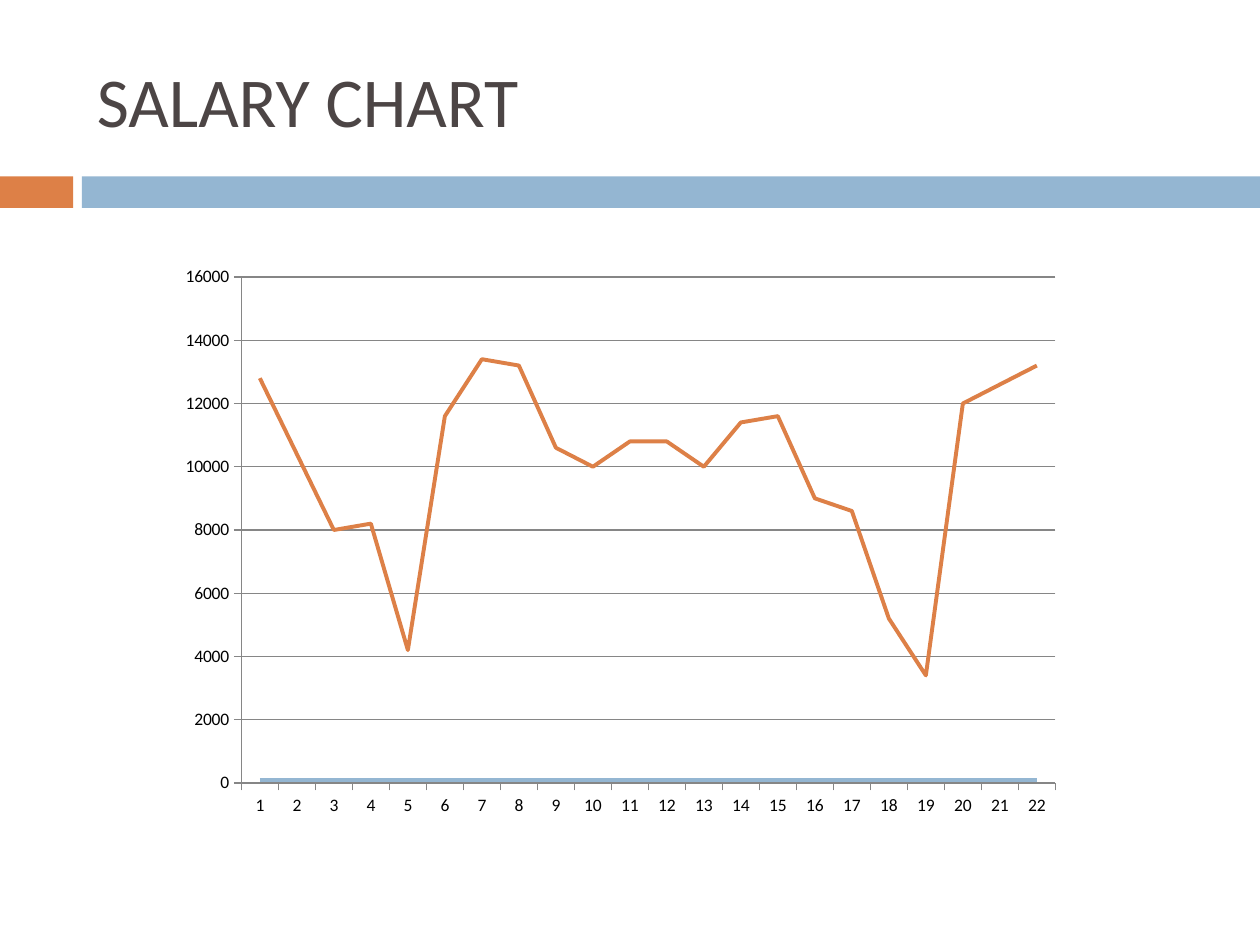
from pptx import Presentation
from pptx.chart.data import CategoryChartData
from pptx.dml.color import RGBColor
from pptx.enum.chart import XL_CHART_TYPE, XL_TICK_MARK
from pptx.enum.shapes import MSO_SHAPE
from pptx.enum.text import MSO_ANCHOR
from pptx.util import Inches, Pt

LINE_CHART = XL_CHART_TYPE.LINE
TICK_OUTSIDE = XL_TICK_MARK.OUTSIDE
RECTANGLE = MSO_SHAPE.RECTANGLE
MIDDLE = MSO_ANCHOR.MIDDLE

ORANGE = RGBColor(0xDD, 0x80, 0x47)
BLUE = RGBColor(0x94, 0xB6, 0xD2)
TITLE_GREY = RGBColor(0x4C, 0x45, 0x45)
AXIS_GREY = RGBColor(0x86, 0x86, 0x86)
BLACK = RGBColor(0, 0, 0)
FONT = "Calibri"

# Content
TITLE = "SALARY CHART"
SALARIES = [12800, 10400, 8000, 8200, 4200, 11600, 13400, 13200, 10600, 10000, 10800,
            10800, 10000, 11400, 11600, 9000, 8600, 5200, 3400, 12000, 12600, 13200]
COUNT = len(SALARIES)
SERIES = [
    ("Series 1", [100] * COUNT, BLUE),
    ("Series 2", SALARIES, ORANGE),
]

# Slide measures in inches
WIDTH, HEIGHT = 10, 7.5
BAND_TOP, BAND_HEIGHT = 1.4, 0.25
BAND_SPLIT, BAND_GAP = 0.58, 0.07
BLUE_LEFT = BAND_SPLIT + BAND_GAP
BANDS = [(0, BAND_SPLIT, ORANGE), (BLUE_LEFT, WIDTH - BLUE_LEFT, BLUE)]
TITLE_BOX = (0.67, 0.25, 8.92, 1.08)
CHART_BOX = (1.33, 2.03, 7.19, 4.53)

deck = Presentation()
deck.slide_width, deck.slide_height = Inches(WIDTH), Inches(HEIGHT)
page = deck.slides.add_slide(deck.slide_layouts[6])

# Two-colour band
for left, width, color in BANDS:
    band = page.shapes.add_shape(RECTANGLE, Inches(left), Inches(BAND_TOP),
                                 Inches(width), Inches(BAND_HEIGHT))
    band.shadow.inherit = False
    band.fill.solid()
    band.fill.fore_color.rgb = color
    band.line.fill.background()

# Title
box = page.shapes.add_textbox(*map(Inches, TITLE_BOX))
box.text_frame.word_wrap = True
box.text_frame.vertical_anchor = MIDDLE
span = box.text_frame.paragraphs[0].add_run()
span.text = TITLE
span.font.name, span.font.size = FONT, Pt(40)
span.font.color.rgb = TITLE_GREY

# Line chart
chart_data = CategoryChartData()
chart_data.categories = [str(number) for number in range(1, COUNT + 1)]
for name, values, color in SERIES:
    chart_data.add_series(name, values)
chart = page.shapes.add_chart(LINE_CHART, *map(Inches, CHART_BOX), chart_data).chart
chart.has_title = False
chart.has_legend = False
chart.font.name, chart.font.size = FONT, Pt(10)
chart.font.color.rgb = BLACK
chart.plots[0].vary_by_categories = False
for series, (name, values, color) in zip(chart.plots[0].series, SERIES):
    series.smooth = False
    series.format.line.color.rgb = color
    series.format.line.width = Pt(2.25)

# Axes and gridlines
value_axis = chart.value_axis
value_axis.minimum_scale, value_axis.maximum_scale = 0, 16000
value_axis.major_unit = 2000
value_axis.has_major_gridlines = True
for axis in (chart.category_axis, value_axis):
    axis.major_tick_mark = TICK_OUTSIDE
for part in (chart.category_axis, value_axis, value_axis.major_gridlines):
    part.format.line.color.rgb = AXIS_GREY
    part.format.line.width = Pt(0.75)

deck.save("out.pptx")
